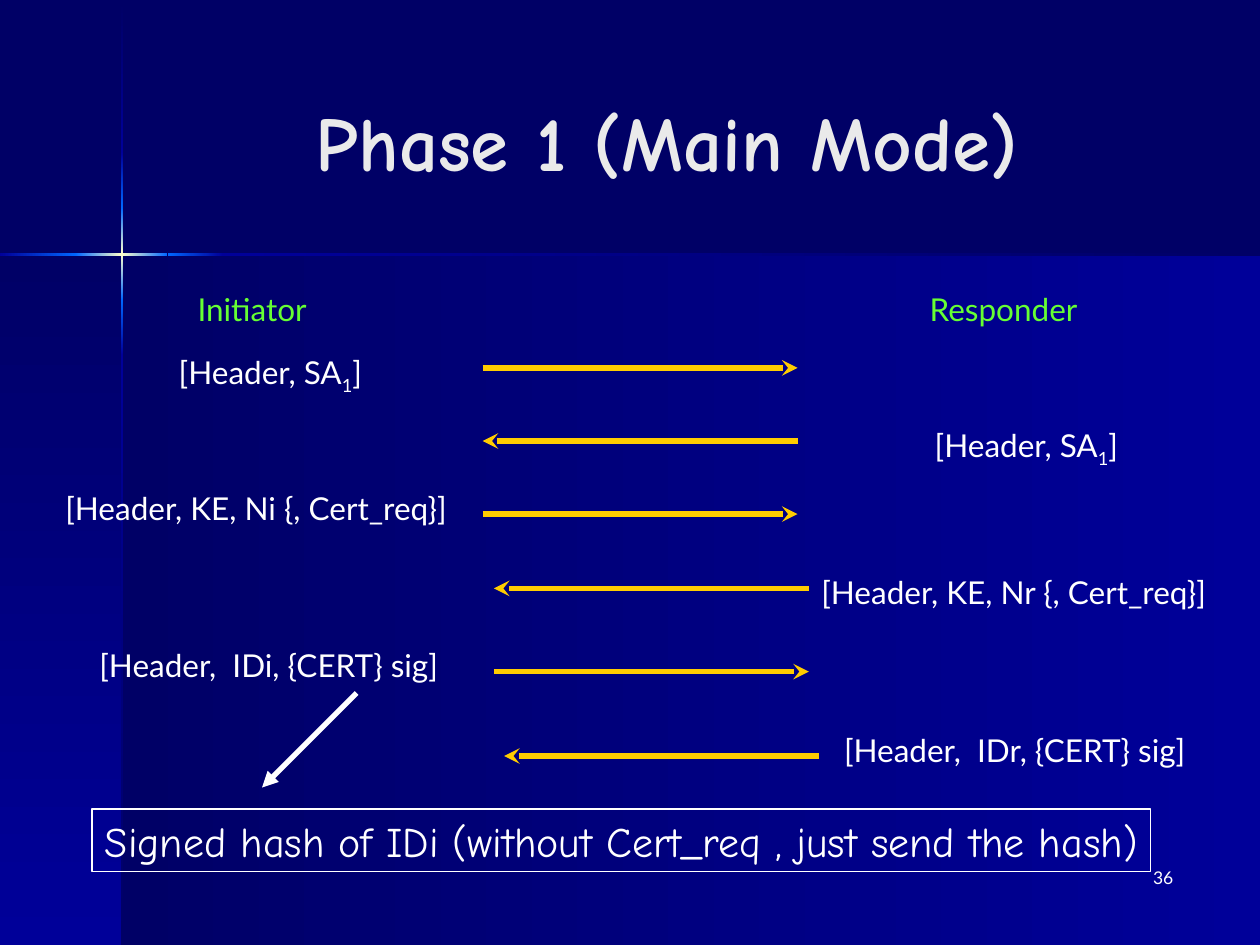
"""Build the Phase 1 (Main Mode) message exchange slide."""
from lxml import etree
from pptx import Presentation
from pptx.dml.color import RGBColor
from pptx.enum import shapes, text
from pptx.oxml.ns import qn
from pptx.util import Inches, Pt

NAVY = RGBColor(0x00, 0x00, 0x66)
BLUE = RGBColor(0x00, 0x00, 0x99)
BRIGHT = RGBColor(0x00, 0x66, 0xFF)
CREAM = RGBColor(0xFF, 0xFF, 0xCC)
GOLD = RGBColor(0xFF, 0xCC, 0x00)
GREEN = RGBColor(0x66, 0xFF, 0x33)
WHITE = RGBColor(0xFF, 0xFF, 0xFF)
PALE = RGBColor(0xEA, 0xEA, 0xEA)
BODY, DISPLAY = "Lato", "Comic Neue"
LEFT, CENTER, RIGHT = text.PP_ALIGN.LEFT, text.PP_ALIGN.CENTER, text.PP_ALIGN.RIGHT

BACKDROP = [
    ((0.97, 2.02, 9.03, 5.48), (NAVY, BLUE), 0),
    ((0, 2.02, 0.97, 5.48), (NAVY, BLUE), 90),
]
VERTICAL_BEAM = [
    (0.01, 1.21, (NAVY, BLUE)),
    (2.82, 4.68, (BLUE, NAVY)),
    (2.38, 0.44, (BRIGHT, BLUE)),
    (1.21, 0.44, (BLUE, BRIGHT)),
    (1.65, 0.73, (BRIGHT, CREAM, BRIGHT)),
]
HORIZONTAL_BEAM = [
    (1.77, 8.23, (BLUE, NAVY)),
    (0, 0.61, (BLUE, BRIGHT)),
    (1.33, 0.44, (BRIGHT, BLUE)),
    (0.6, 0.73, (BRIGHT, CREAM, BRIGHT)),
]
BEAM_X, BEAM_Y, BEAM_WIDTH = 0.96, 2.01, 0.02

TITLE = "Phase 1 (Main Mode)"
PARTIES = [("Initiator", 1.47, 1.14), ("Responder", 7.28, 1.47)]
SA = ("[Header, SA", "1", "]")
MESSAGES = [
    (SA, (1.32, 2.75, 1.74, 0.44)),
    (SA, (7.32, 3.33, 1.74, 0.44)),
    (("[Header, KE, Ni {, Cert_req}]",), (0.42, 3.83, 3.43, 0.4)),
    (("[Header, KE, Nr {, Cert_req}]",), (6.42, 4.5, 3.47, 0.4)),
    (("[Header,  IDi, {CERT} sig]",), (0.69, 5.08, 3.07, 0.4)),
    (("[Header,  IDr, {CERT} sig]",), (6.6, 5.75, 3.11, 0.4)),
]
ARROWS = [(3.83, 2.92), (3.83, 3.5), (3.83, 4.08), (3.92, 4.67), (3.92, 5.33), (4, 6)]
ARROW_LENGTH = 2.5
NOTE = "Signed hash of IDi (without Cert_req , just send the hash)"
PAGE = "36"


def inches(values):
    return [Inches(value) for value in values]


def add_gradient(slide, box, colors, angle):
    band = slide.shapes.add_shape(shapes.MSO_SHAPE.RECTANGLE, *inches(box))
    band.shadow.inherit = False
    band.line.fill.background()
    band.fill.gradient()
    band.fill.gradient_angle = -angle % 360
    stops = next(band._element.spPr.iter(qn("a:gsLst")))
    for stop in list(stops):
        stops.remove(stop)
    for index, color in enumerate(colors):
        position = index * 100000 // (len(colors) - 1)
        stop = etree.SubElement(stops, qn("a:gs"), pos=str(position))
        etree.SubElement(stop, qn("a:srgbClr"), val=str(color))


def write(shape, parts, size, color, face=BODY, align=LEFT, bold=False, wrap=False,
          anchor=text.MSO_ANCHOR.TOP):
    frame = shape.text_frame
    frame.word_wrap = wrap
    frame.vertical_anchor = anchor
    paragraph = frame.paragraphs[0]
    paragraph.alignment = align
    font = paragraph.font
    font.size, font.name, font.bold = Pt(size), face, bold
    font.color.rgb = color
    for index, part in enumerate(parts):
        run = paragraph.add_run()
        run.text = part
        if index == 1:
            run._r.get_or_add_rPr().set("baseline", "-25000")


def add_text(slide, box, parts, size, color, **style):
    write(slide.shapes.add_textbox(*inches(box)), parts, size, color, **style)


def add_arrow(slide, start, end, color, tip):
    arrow = slide.shapes.add_connector(
        shapes.MSO_CONNECTOR.STRAIGHT, *inches(start + end))
    arrow.line.color.rgb = color
    arrow.line.width = Pt(3)
    etree.SubElement(arrow.line._get_or_add_ln(), qn("a:tailEnd"), type=tip)
    etree.SubElement(arrow._element.spPr, qn("a:effectLst"))


def main():
    deck = Presentation()
    deck.slide_width, deck.slide_height = Inches(10), Inches(7.5)
    slide = deck.slides.add_slide(deck.slide_layouts[6])
    slide.background.fill.solid()
    slide.background.fill.fore_color.rgb = NAVY

    for box, colors, angle in BACKDROP:
        add_gradient(slide, box, colors, angle)
    for top, height, colors in VERTICAL_BEAM:
        add_gradient(slide, (BEAM_X, top, BEAM_WIDTH, height), colors, 90)
    for left, width, colors in HORIZONTAL_BEAM:
        add_gradient(slide, (left, BEAM_Y, width, BEAM_WIDTH), colors, 0)

    add_text(slide, (7.33, 6.83, 2.08, 0.5), [PAGE], 10, WHITE, align=RIGHT, wrap=True)
    add_text(slide, (1.17, 0.33, 8.25, 1.57), [TITLE], 44, PALE, face=DISPLAY,
             align=CENTER, bold=True, wrap=True, anchor=text.MSO_ANCHOR.MIDDLE)
    for party, left, width in PARTIES:
        add_text(slide, (left, 2.25, width, 0.4), [party], 18, GREEN)
    for parts, box in MESSAGES:
        add_text(slide, box, parts, 18, WHITE)

    for index, (left, y) in enumerate(ARROWS):
        ends = [(left, y), (left + ARROW_LENGTH, y)]
        start, end = ends if index % 2 == 0 else reversed(ends)
        add_arrow(slide, start, end, GOLD, "stealth")
    add_arrow(slide, (2.83, 5.5), (2.08, 6.25), WHITE, "triangle")

    note = slide.shapes.add_shape(
        shapes.MSO_SHAPE.RECTANGLE, *inches((0.73, 6.42, 8.4, 0.5)))
    note.shadow.inherit = False
    note.fill.background()
    note.line.color.rgb = WHITE
    note.line.width = Pt(0.75)
    write(note, [NOTE], 24, WHITE, face=DISPLAY, align=CENTER)

    deck.save("out.pptx")


if __name__ == "__main__":
    main()
